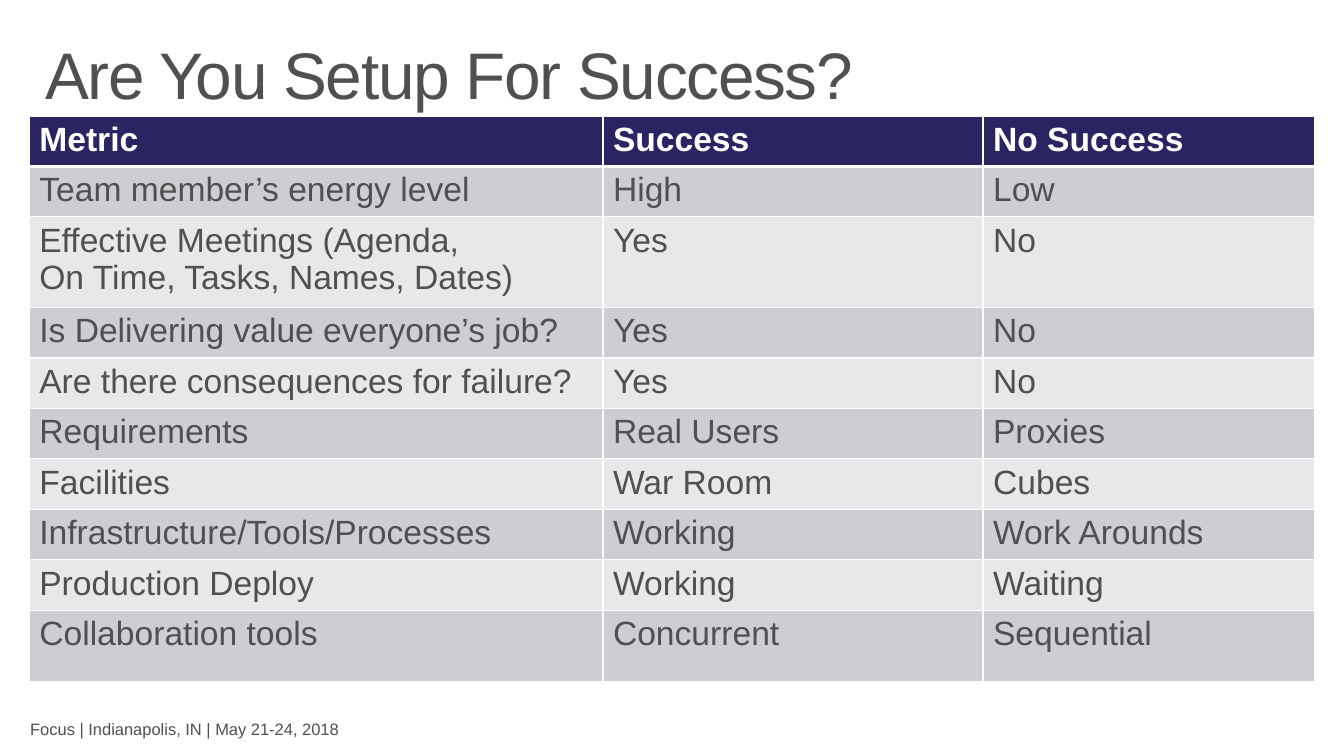
from lxml import etree
from pptx import Presentation
from pptx import util as u
from pptx.dml.color import RGBColor
from pptx.enum import text as t
from pptx.oxml import ns

WIDTH, HEIGHT = u.Inches(13.33), u.Inches(7.5)
WHITE = RGBColor(0xFF, 0xFF, 0xFF)
GREY = RGBColor(0x50, 0x50, 0x50)
NAVY = RGBColor(0x2B, 0x24, 0x63)
BANDS = RGBColor(0xCD, 0xCD, 0xD3), RGBColor(0xE8, 0xE8, 0xEA)
FONT = "Arial"

COLUMNS = 5.69, 3.77, 3.29
ROW, LAST_ROW = 0.41, 0.71
METRICS = [
    ("Metric", "Success", "No Success"),
    ("Team member’s energy level", "High", "Low"),
    ("Effective Meetings (Agenda,\vOn Time, Tasks, Names, Dates)", "Yes", "No"),
    ("Is Delivering value everyone’s job?", "Yes", "No"),
    ("Are there consequences for failure?", "Yes", "No"),
    ("Requirements", "Real Users", "Proxies"),
    ("Facilities", "War Room", "Cubes"),
    ("Infrastructure/Tools/Processes", "Working", "Work Arounds"),
    ("Production Deploy", "Working", "Waiting"),
    ("Collaboration tools", "Concurrent", "Sequential"),
]


def write(frame, words, size, color=GREY, bold=False, line=None, after=None, tracking=None):
    """Fill a text frame with one formatted paragraph."""
    frame.text = words
    paragraph = frame.paragraphs[0]
    if line is not None:
        paragraph.line_spacing = line
    if after is not None:
        paragraph.space_after = u.Pt(after)
    for run in paragraph.runs:
        font = run.font
        font.name, font.size, font.bold = FONT, u.Pt(size), bold
        font.color.rgb = color
        if tracking is not None:
            run._r.get_or_add_rPr().set("spc", str(tracking * 100))


def add_text(slide, box, insets, words, size, anchor=t.MSO_ANCHOR.TOP, **style):
    """Add a wrapping text box; box is in inches, insets are (side, top)."""
    frame = slide.shapes.add_textbox(*map(u.Inches, box)).text_frame
    frame.word_wrap = True
    frame.vertical_anchor = anchor
    side, top = map(u.Inches, insets)
    frame.margin_left = frame.margin_right = side
    frame.margin_top = frame.margin_bottom = top
    write(frame, words, size, **style)
    return frame


def add_border(cell, edge, points):
    """Draw one white edge of a cell; called before the cell is filled."""
    line = etree.SubElement(cell._tc.get_or_add_tcPr(), ns.qn(f"a:ln{edge}"),
                            w=str(u.Pt(points)))
    fill = etree.SubElement(line, ns.qn("a:solidFill"))
    etree.SubElement(fill, ns.qn("a:srgbClr"), val=str(WHITE))


def add_metrics(slide, left, top):
    """Add the table with a navy header and alternating bands."""
    heights = [ROW] * (len(METRICS) - 1) + [LAST_ROW]
    table = slide.shapes.add_table(
        len(METRICS), len(COLUMNS), u.Inches(left), u.Inches(top),
        u.Inches(sum(COLUMNS)), u.Inches(sum(heights))).table
    for column, width in zip(table.columns, COLUMNS):
        column.width = u.Inches(width)
    for index, (row, height, entries) in enumerate(zip(table.rows, heights, METRICS)):
        row.height = u.Inches(height)
        header = index == 0
        for cell, entry in zip(row.cells, entries):
            for edge in "LRTB":
                thick = (header and edge == "B") or (index == 1 and edge == "T")
                add_border(cell, edge, 3 if thick else 1)
            cell.fill.solid()
            cell.fill.fore_color.rgb = NAVY if header else BANDS[(index - 1) % 2]
            write(cell.text_frame, entry, 24, color=WHITE if header else GREY, bold=header)


def main():
    deck = Presentation()
    deck.slide_width, deck.slide_height = WIDTH, HEIGHT
    slide = deck.slides.add_slide(deck.slide_layouts[6])

    # Footer
    footer = add_text(slide, (0.1, 6.92, 8.13, 0.5), (0.2, 0.16),
                      "Focus | Indianapolis, IN | May 21-24, 2018", 11.8,
                      anchor=t.MSO_ANCHOR.BOTTOM, line=0.9, after=5.9)
    footer.auto_size = t.MSO_AUTO_SIZE.SHAPE_TO_FIT_TEXT

    # Title
    add_text(slide, (0.29, 0.32, 12.75, 0.98), (0.16, 0.1),
             "Are You Setup For Success?", 47, line=0.9, tracking=-1)

    # Success metrics
    add_metrics(slide, 0.29, 1.15)

    deck.save("out.pptx")


if __name__ == "__main__":
    main()
